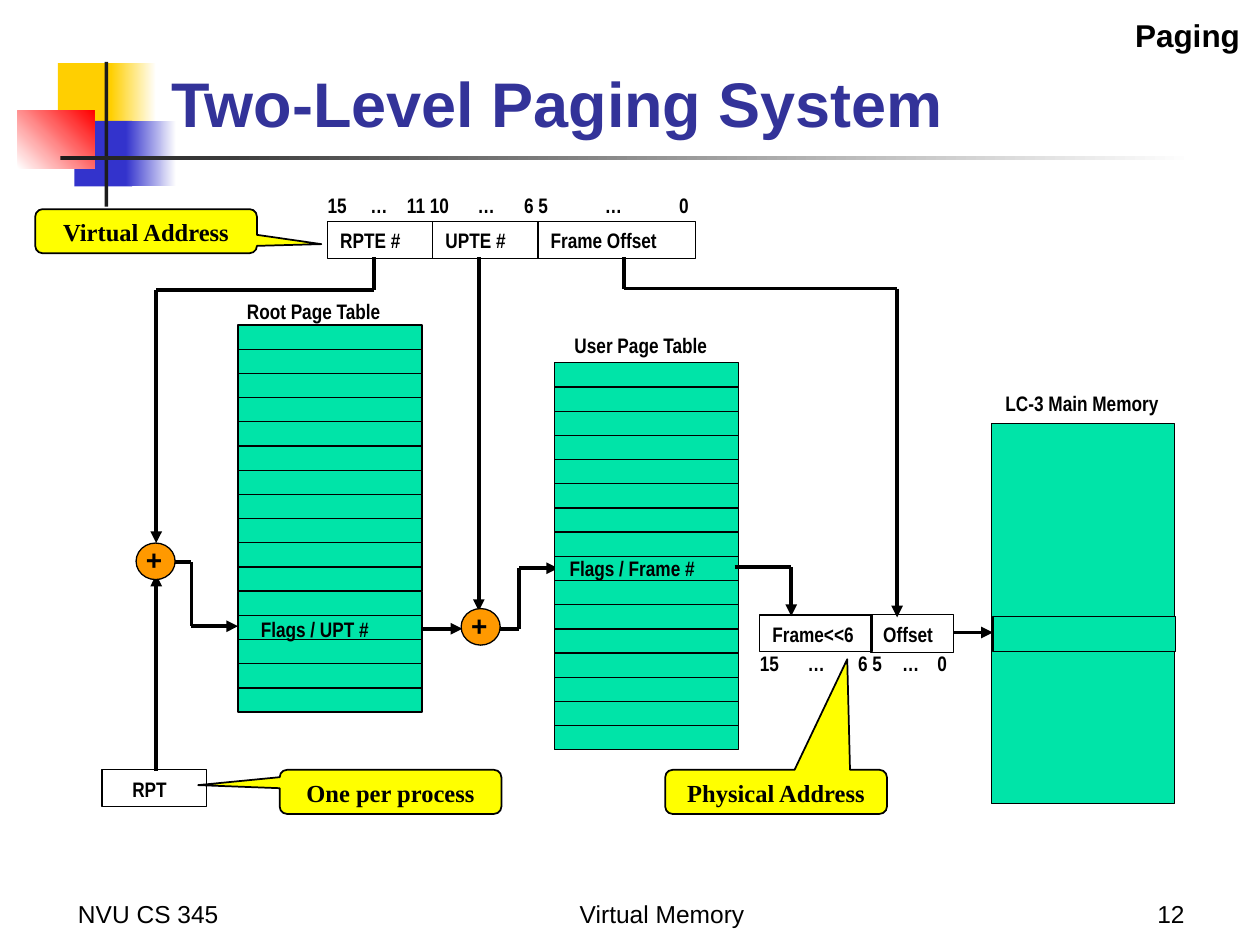
from dataclasses import dataclass
from itertools import pairwise

from lxml.etree import SubElement
from pptx import Presentation
from pptx.dml.color import RGBColor
from pptx.enum.shapes import MSO_CONNECTOR, MSO_SHAPE
from pptx.enum.text import MSO_ANCHOR, PP_ALIGN
from pptx.oxml.ns import qn
from pptx.util import Inches, Pt


@dataclass(frozen=True)
class Theme:
    black: str = "000000"
    white: str = "FFFFFF"
    title: str = "333399"
    bar: str = "1C1C1C"
    gold: str = "FFCF01"
    blue: str = "3333CC"
    red: str = "FF0000"
    memory: str = "00E4A8"
    adder: str = "FF9900"
    callout: str = "FFFF00"
    sans: str = "Arial"
    narrow: str = "Arial Narrow"
    serif: str = "Times New Roman"
    title_size: int = 36
    topic_size: int = 18
    plus_size: int = 16
    body_size: int = 14
    label_size: int = 12
    outline: float = 0.75
    callout_outline: float = 1
    wire: float = 2.25


THEME = Theme()
ROWS, ROW_W, ROW_H = 16, 1.46, 0.192
CELL_H = 0.29


@dataclass
class Region:
    """A box on the slide; its parts are placed from its top left corner."""
    slide: object
    left: float
    top: float
    width: float
    height: float

    def place(self, x, y):
        return Inches(self.left + x), Inches(self.top + y)

    def shape(self, x, y, w, h, fill=None, outline=THEME.outline, preset=MSO_SHAPE.RECTANGLE):
        part = self.slide.shapes.add_shape(preset, *self.place(x, y), Inches(w), Inches(h))
        part.shadow.inherit = False
        if fill:
            part.fill.solid()
            part.fill.fore_color.rgb = RGBColor.from_string(fill)
        else:
            part.fill.background()
        if outline:
            part.line.color.rgb = RGBColor.from_string(THEME.black)
            part.line.width = Pt(outline)
        else:
            part.line.fill.background()
        return part

    def fade(self, x, y, w, h, start, end, angle=0):
        part = self.shape(x, y, w, h, outline=None)
        part.fill.gradient()
        part.fill.gradient_angle = angle
        for stop, color in zip(part.fill.gradient_stops, (start, end)):
            stop.color.rgb = RGBColor.from_string(color)

    def text(self, x, y, w, h, words, size, anchor=MSO_ANCHOR.TOP, inset=True, **style):
        box = self.slide.shapes.add_textbox(*self.place(x, y), Inches(w), Inches(h))
        frame = box.text_frame
        if not inset:
            frame.margin_left = frame.margin_right = frame.margin_top = frame.margin_bottom = 0
        return write(frame, words, size, anchor, **style)

    def label(self, x, y, w, words):
        return self.text(x, y, w, 0.2, words, THEME.label_size, inset=False,
                         font=THEME.narrow, bold=True)

    def cell(self, x, y, w, words, indent=0.1, h=CELL_H):
        self.shape(x, y, w, h)
        self.label(x + indent, y + 0.05, w, words)

    def bits(self, x, y, w, words, stops):
        """Bit numbers, set on tab stops along a row of cells."""
        paragraph = self.label(x, y, w, "\t".join(words))
        tabs = SubElement(paragraph._p.get_or_add_pPr(), qn("a:tabLst"))
        for stop in stops:
            SubElement(tabs, qn("a:tab"), pos=str(Inches(stop)), algn="l")

    def callout(self, x, y, words, tip):
        bubble = self.shape(x, y, 1.76, 0.35, THEME.callout, THEME.callout_outline,
                            MSO_SHAPE.ROUNDED_RECTANGULAR_CALLOUT)
        bubble.adjustments[0], bubble.adjustments[1] = tip
        write(bubble.text_frame, words, THEME.body_size, font=THEME.serif, bold=True,
              align=PP_ALIGN.CENTER)

    def adder(self, x, y):
        self.shape(x, y, 0.31, CELL_H, THEME.adder, preset=MSO_SHAPE.OVAL)
        self.text(x - 0.02, y - 0.05, 0.52, 0.37, "+", THEME.plus_size, bold=True)

    def page_table(self, x, y):
        for row in range(ROWS):
            self.shape(x, y + row * ROW_H, ROW_W, ROW_H, THEME.memory)

    def wire(self, *points):
        """Straight segments through the points, with an arrow at the last."""
        for start, end in pairwise(points):
            line = self.slide.shapes.add_connector(
                MSO_CONNECTOR.STRAIGHT, *self.place(*start), *self.place(*end))
            line.line.color.rgb = RGBColor.from_string(THEME.black)
            line.line.width = Pt(THEME.wire)
            if end == points[-1]:
                SubElement(line.line._get_or_add_ln(), qn("a:tailEnd"), type="triangle")
            SubElement(line._element.spPr, qn("a:effectLst"))


def write(frame, words, size, anchor=MSO_ANCHOR.TOP, font=THEME.sans, color=THEME.black,
          bold=False, align=PP_ALIGN.LEFT):
    frame.word_wrap = True
    frame.vertical_anchor = anchor
    paragraph = frame.paragraphs[0]
    paragraph.alignment = align
    run = paragraph.add_run()
    run.text = words
    run.font.name, run.font.size, run.font.bold = font, Pt(size), bold
    run.font.color.rgb = RGBColor.from_string(color)
    return paragraph


def draw_ornament(box):
    box.shape(0.32, 0.01, 0.48, 0.52, THEME.gold, None)
    box.fade(0.74, 0.01, 0.36, 0.52, THEME.gold, THEME.white)
    box.shape(0.45, 0.47, 0.46, 0.52, THEME.blue, None)
    box.fade(0.86, 0.47, 0.4, 0.52, THEME.blue, THEME.white)
    box.fade(0, 0.39, 0.61, 0.46, THEME.white, THEME.red, 45)
    box.shape(0.69, 0, 0.03, box.height, THEME.bar, None)
    box.fade(0.34, 0.75, 9, 0.03, THEME.bar, THEME.white)


def draw_heading(box):
    box.text(0, 0.13, 8.52, 0.95, "Two-Level Paging System", THEME.title_size,
             MSO_ANCHOR.BOTTOM, color=THEME.title, bold=True)
    box.text(box.width - 2.87, 0, 2.87, 0.4, "Paging", THEME.topic_size, bold=True,
             align=PP_ALIGN.RIGHT)


def draw_footer(box):
    for x, w, words, align in ((0, 2.08, "NVU CS 345", PP_ALIGN.LEFT),
                               (3.15, 3.17, "Virtual Memory", PP_ALIGN.CENTER),
                               (box.width - 2.08, 2.08, "12", PP_ALIGN.RIGHT)):
        box.text(x, 0, w, box.height, words, THEME.body_size, MSO_ANCHOR.BOTTOM, align=align)


def draw_user_table(box):
    # Root entry and UPTE # are added to reach the table
    box.wire((0, 2.95), (0.32, 2.95))
    box.wire((0.45, 0), (0.45, 2.81))
    box.wire((0.62, 2.95), (0.77, 2.95), (0.77, 2.47), (1.08, 2.47))
    box.page_table(1.05, 0.84)
    box.label(1.21, 0.6, 1.36, "User Page Table")
    box.label(1.17, 2.37, 1.32, "Flags / Frame #")
    # Frame part of the physical address
    box.cell(2.68, 2.84, 0.89, "Frame<<6")
    box.wire((2.48, 2.46), (2.93, 2.46), (2.93, 2.85))
    box.adder(0.31, 2.79)


def draw_virtual_address(box):
    left = 0
    for words, width in (("RPTE #", 0.835), ("UPTE #", 0.835), ("Frame Offset", 1.25)):
        box.cell(left, 0.23, width, words)
        left += width
    box.bits(0, 0, box.width + 0.1, ("15", "…", "11 10", "…", "6 5", "…", "0"),
             (0.34, 0.63, 1.19, 1.56, 2.2, 2.79))
    box.callout(-2.32, 0.13, "Virtual Address", (0.79, 0.294))


def draw_root_table(box):
    box.page_table(1.08, 0.54)
    box.label(1.15, 0.33, 1.36, "Root Page Table")
    box.label(1.26, 2.85, 1.16, "Flags / UPT #")
    # RPTE # and the table's base are added
    box.wire((2.16, 0), (2.16, 0.26), (0.43, 0.26), (0.43, 2.27))
    box.cell(0, 4.07, 0.83, "RPT", indent=0.24)
    box.wire((0.43, 4.08), (0.43, 2.52))
    box.wire((0.53, 2.42), (0.71, 2.42), (0.71, 2.93), (1.08, 2.93))
    box.callout(1.41, 4.07, "One per process", (-0.868, -0.153))
    box.adder(0.27, 2.27)


def draw_main_memory(box):
    box.shape(2.92, 1.32, 1.45, 3.02, THEME.memory)
    box.label(3.03, 1.06, 1.25, "LC-3 Main Memory")
    box.shape(2.93, 2.85, 1.45, 0.28, THEME.memory)
    # Offset part of the physical address
    box.cell(1.96, 2.84, 0.66, "Offset", h=0.3)
    box.wire((0, 0), (0, 0.25), (2.17, 0.25), (2.17, 2.86))
    box.bits(1.08, 3.12, 1.58, ("15", "…", "6 5", "…", "0"), (0.38, 0.78, 1.13, 1.41))
    box.wire((2.62, 2.98), (2.93, 2.98))
    box.callout(0.33, 4.07, "Physical Address", (0.321, -3.008))


def main():
    deck = Presentation()
    deck.slide_width, deck.slide_height = Inches(10), Inches(7.5)
    slide = deck.slides.add_slide(deck.slide_layouts[6])
    draw_ornament(Region(slide, 0.14, 0.49, 9.34, 1.15))
    draw_footer(Region(slide, 0.52, 6.92, 8.98, 0.5))
    draw_user_table(Region(slide, 3.35, 2.04, 3.57, 3.13))
    draw_heading(Region(slide, 1.26, 0.08, 8.68, 1.08))
    draw_virtual_address(Region(slide, 2.6, 1.53, 2.92, 0.52))
    draw_root_table(Region(slide, 0.81, 2.04, 2.54, 4.42))
    draw_main_memory(Region(slide, 4.95, 2.04, 4.38, 4.42))
    deck.save("out.pptx")


if __name__ == "__main__":
    main()
